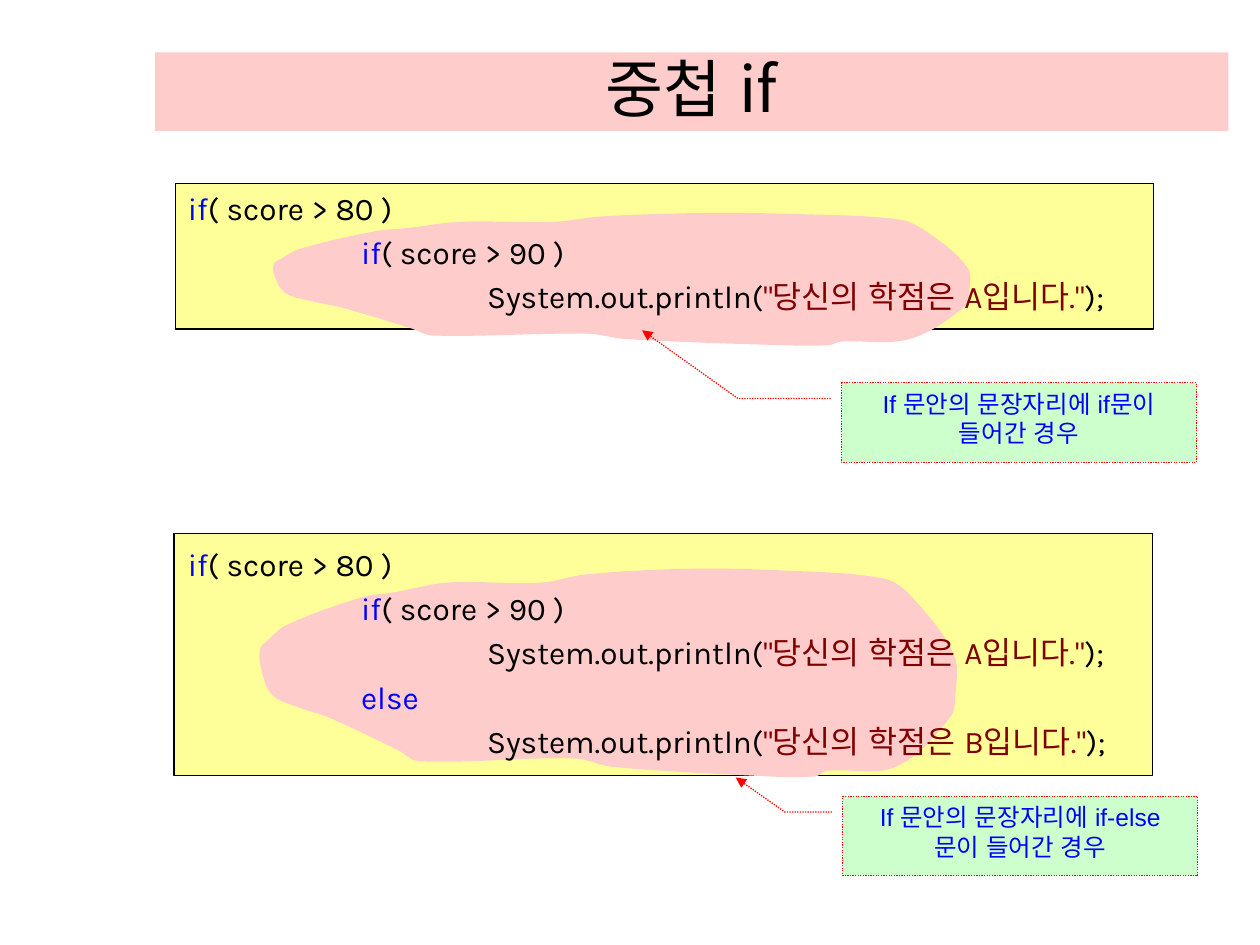
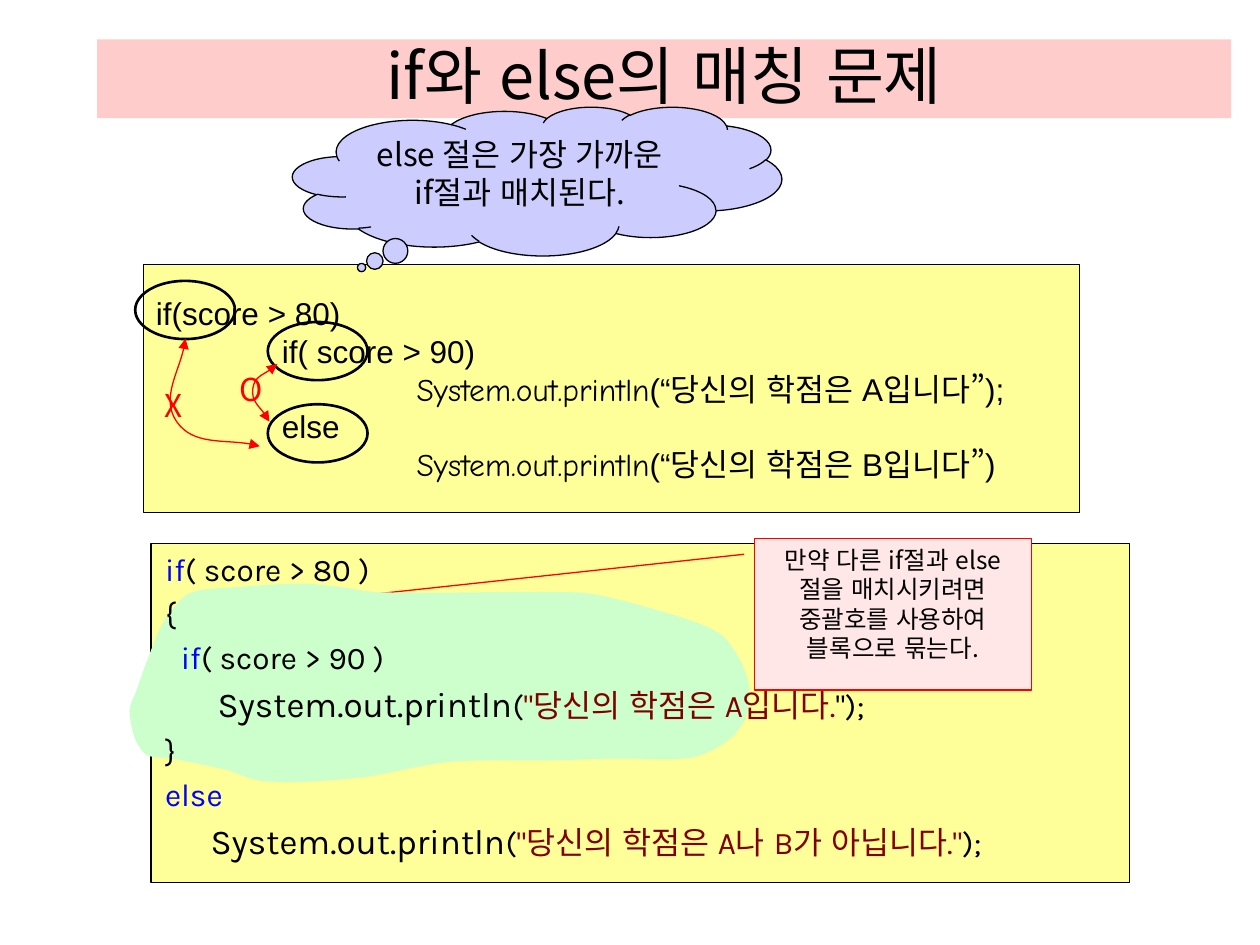
from dataclasses import dataclass
from math import hypot
from typing import Any, NamedTuple

from lxml.etree import SubElement
from pptx import Presentation
from pptx.dml.color import RGBColor
from pptx.enum.dml import MSO_LINE
from pptx.enum.lang import MSO_LANGUAGE_ID
from pptx.enum.shapes import MSO_SHAPE
from pptx.enum.text import MSO_ANCHOR, MSO_AUTO_SIZE, PP_ALIGN
from pptx.oxml.ns import qn
from pptx.util import Pt

BLACK = RGBColor(0x00, 0x00, 0x00)
BLUE = RGBColor(0x00, 0x00, 0xFF)
MAROON = RGBColor(0x80, 0x00, 0x00)
RED = RGBColor(0xFF, 0x00, 0x00)
PINK = RGBColor(0xFF, 0xCC, 0xCC)
ROSE = RGBColor(0xFF, 0xE7, 0xE7)
YELLOW = RGBColor(0xFF, 0xFF, 0x99)
GREEN = RGBColor(0xCC, 0xFF, 0xCC)
LILAC = RGBColor(0xCC, 0xCC, 0xFF)

ARIAL, COMIC, KARLA, NOTO = "Arial", "Comic Neue", "Karla", "Noto Sans CJK KR"
Point = tuple[float, float]


class Box(NamedTuple):
    x: float
    y: float
    w: float
    h: float


class Run(NamedTuple):
    text: str
    color: RGBColor = BLACK
    font: str = KARLA
    size: float = 18


class Line(NamedTuple):
    left: float
    runs: tuple[Run, ...]


@dataclass
class Panel:
    """A filled or outlined shape, with optional text and adjustments."""
    box: Box
    kind: MSO_SHAPE = MSO_SHAPE.RECTANGLE
    fill: RGBColor | None = YELLOW
    edge: RGBColor = BLACK
    width: float = 0.75
    dash: MSO_LINE | None = None
    adjust: tuple[float, ...] = ()
    tail: bool = False
    text: Run | None = None


# Outlines in points, from the top left corner of each blob
NEST = [
    (3.6, 28), (15, 22), (57.5, 12), (77, 10), (107, 6.5), (160.5, 6.5),
    (186.5, 3.5), (243, 1.5), (296, 2), (356.5, 5), (371.5, 11),
    (396.5, 32.5), (397.5, 47), (394.5, 55.5), (363.5, 73.5), (324, 75),
    (317.5, 77), (289.5, 77), (201, 73.5), (180, 70.5), (90.5, 71.5),
    (79, 67.5), (39, 55.5), (22.5, 52), (6.5, 47), (0, 35.5), (0.5, 30),
]
BLOCK = [
    (62, 2), (36, 5), (26.5, 13), (18.5, 24.5), (11, 43), (4.5, 61),
    (0.5, 74), (8.5, 96.5), (25, 100), (54, 106), (78, 113), (131, 111),
    (183, 102), (244, 101), (278, 100), (317.5, 100), (330.5, 96.5),
    (345.5, 87), (353.5, 73.5), (353.5, 54), (342, 32.5), (330, 24.5),
    (308, 17), (275, 8), (255, 5), (144, 5), (121, 2), (99.5, 0),
]
ARCS = [
    [(158.5, 208), (144.5, 222), (154, 241)],
    [(106, 193.5), (101, 241), (148.5, 255)],
]


def assign(target: Any, values: dict[str, Any]) -> None:
    for name, value in values.items():
        setattr(target, name, value)


def place(shape: Any, box: Box) -> None:
    names = ("left", "top", "width", "height")
    assign(shape, dict(zip(names, map(Pt, box))))


def write(para: Any, run: Run) -> None:
    part = para.add_run()
    part.text = run.text
    assign(part.font, {"name": run.font, "size": Pt(run.size),
                       "language_id": MSO_LANGUAGE_ID.KOREAN})
    part.font.color.rgb = run.color
    part.font._element.set("kern", "0")
    SubElement(part.font._element, qn("a:ea"), typeface=NOTO)


def paint(shape: Any, fill: RGBColor | None, edge: RGBColor | None,
          width: float = 0.75) -> None:
    shape.shadow.inherit = False
    for style, color in ((shape.fill, fill), (shape.line.fill, edge)):
        if color is None:
            style.background()
        else:
            style.solid()
            style.fore_color.rgb = color
    if edge is not None:
        shape.line.width = Pt(width)


def arrow(shape: Any, *ends: str) -> None:
    for end in ends:
        SubElement(shape.line._get_or_add_ln(), qn(f"a:{end}"), type="triangle")


def title(slide: Any, text: str, box: Box) -> None:
    shape = slide.shapes.title
    place(shape, box)
    shape.fill.solid()
    shape.fill.fore_color.rgb = PINK
    frame = shape.text_frame
    assign(frame, {"auto_size": MSO_AUTO_SIZE.NONE, "word_wrap": True,
                   "vertical_anchor": MSO_ANCHOR.BOTTOM})
    frame.paragraphs[0].alignment = PP_ALIGN.CENTER
    write(frame.paragraphs[0], Run(text, font=NOTO, size=36))


def panel(slide: Any, item: Panel) -> Any:
    shape = slide.shapes.add_shape(item.kind, *map(Pt, item.box))
    paint(shape, item.fill, item.edge, item.width)
    for i, value in enumerate(item.adjust):
        shape.adjustments[i] = value
    if item.dash:
        shape.line.dash_style = item.dash
    if item.tail:
        arrow(shape, "tailEnd")
    if item.text:
        assign(shape.text_frame, {"word_wrap": True,
                                  "vertical_anchor": MSO_ANCHOR.TOP})
        para = shape.text_frame.paragraphs[0]
        para.alignment = PP_ALIGN.CENTER
        write(para, item.text)
    return shape


def code(frame: Any, lines: list[Line], gap: float = 3.7) -> None:
    frame.word_wrap = True
    for i, line in enumerate(lines):
        para = frame.add_paragraph() if i else frame.paragraphs[0]
        assign(para, {"alignment": PP_ALIGN.LEFT, "space_before": Pt(gap)})
        props = para._p.get_or_add_pPr()
        props.set("marL", str(Pt(line.left)))
        props.set("indent", "0")
        for run in line.runs:
            write(para, run)


def listing(slide: Any, box: Box, lines: list[Line]) -> None:
    code(slide.shapes.add_textbox(*map(Pt, box)).text_frame, lines)


def curve(slide: Any, knots: list[Point], closed: bool) -> Any:
    """Join the knots by Bezier spans, with handles a third of each span."""
    count = len(knots)
    left, top = (min(axis) for axis in zip(*knots))

    def knot(i: int) -> Point:
        return knots[i % count if closed else min(max(i, 0), count - 1)]

    def handle(i: int, reach: float) -> Point:
        (ax, ay), (x, y), (bx, by) = knot(i - 1), knot(i), knot(i + 1)
        part = reach / hypot(bx - ax, by - ay)
        return x + (bx - ax) * part, y + (by - ay) * part

    dots = [(Pt(x), Pt(y)) for x, y in knots]
    maker = slide.shapes.build_freeform(*dots[0], scale=1.0)
    maker.add_line_segments(dots[1:] + dots[:closed], close=closed)
    shape = maker.convert_to_shape()
    for i, span in enumerate(list(shape._element.iter(qn("a:lnTo")))):
        (ax, ay), (bx, by) = knot(i), knot(i + 1)
        reach = hypot(bx - ax, by - ay) / 3
        span.tag = qn("a:cubicBezTo")
        end = span[0]
        for x, y in (handle(i, reach), handle(i + 1, -reach)):
            SubElement(span, qn("a:pt"), x=str(Pt(x - left)), y=str(Pt(y - top)))
        span.append(end)
    return shape


def blob(slide: Any, knots: list[Point], x: float, y: float,
         fill: RGBColor, stretch: float = 1) -> None:
    moved = [(x + dx, y + dy * stretch) for dx, dy in knots]
    paint(curve(slide, moved, True), fill, None)


def test(left: float, score: int) -> Line:
    return Line(left, (Run("if", BLUE), Run(f"( score > {score} )")))


def show(left: float, grade: str) -> Line:
    return Line(left, (Run("System.out.println("),
                       Run(f'"당신의 학점은 {grade}입니다."', MAROON), Run(");")))


def nested(slide: Any) -> None:
    title(slide, "중첩 if", Box(88.5, 30, 613.5, 45))
    head = [test(0, 80), test(99, 90), show(171, "A")]
    other = [Line(99, (Run("else", BLUE),)), show(171, "B")]
    for box in (Box(100.25, 105, 558.75, 83), Box(99.5, 304.75, 559, 138.25)):
        panel(slide, Panel(box))
    blob(slide, NEST, 156.25, 120.25, PINK)
    listing(slide, Box(100.25, 104.25, 562, 83), head)
    blob(slide, NEST, 148.5, 322.75, PINK, 1.57)
    listing(slide, Box(100.25, 307.75, 562, 138), head + other)

    notes = [
        (480.75, 218.75, "If 문안의 문장자리에 if문이 들어간 경우",
         (-0.291, -0.66, -0.561)),
        (481.5, 455, "If 문안의 문장자리에 if-else 문이 들어간 경우",
         (-0.163, -0.236, -0.301)),
    ]
    for x, y, text, bend in notes:
        panel(slide, Panel(
            Box(x, y, 203, 45.5), MSO_SHAPE.LINE_CALLOUT_2, GREEN, RED,
            dash=MSO_LINE.ROUND_DOT, adjust=(0.197, -0.03, 0.197, *bend),
            tail=True, text=Run(text, BLUE, ARIAL, 14)))


def matching(slide: Any) -> None:
    title(slide, "if와 else의 매칭 문제", Box(55.5, 22.5, 648, 45))
    panel(slide, Panel(Box(86.25, 310.75, 559.25, 193.5)))

    def plain(left: float, text: str) -> Line:
        return Line(left, (Run(text, font=ARIAL),))

    def output(text: str) -> Line:
        return Line(149, (Run("System.out.println", font=COMIC),
                          Run(text, font=ARIAL)))

    sample = panel(slide, Panel(Box(82, 151, 535, 142)))
    sample.text_frame.vertical_anchor = MSO_ANCHOR.MIDDLE
    code(sample.text_frame, [
        plain(0, "if(score > 80)"), plain(72, "if( score > 90)"),
        output("(“당신의 학점은 A입니다”);"), plain(72, "else"),
        output("(“당신의 학점은 B입니다”)")], gap=0)

    for x, y in ((153, 231), (153, 184), (77.25, 160.5)):
        panel(slide, Panel(Box(x, y, 57, 33.25), MSO_SHAPE.OVAL, None,
                           width=1.5))
    for knots in ARCS:
        arc = curve(slide, knots, False)
        paint(arc, None, RED)
        arrow(arc, "headEnd", "tailEnd")
    for mark, x, y in (("X", 87, 217.25), ("O", 129.5, 208)):
        frame = slide.shapes.add_textbox(Pt(x), Pt(y), Pt(27), Pt(29)).text_frame
        frame.word_wrap = False
        write(frame.paragraphs[0], Run(mark, RED, NOTO))

    panel(slide, Panel(
        Box(167.25, 61, 279.5, 85), MSO_SHAPE.CLOUD_CALLOUT, LILAC,
        adjust=(-0.359, 0.581),
        text=Run("else 절은 가장 가까운 if절과 매치된다.", font=NOTO)))
    panel(slide, Panel(
        Box(431.25, 307.75, 158, 86.5), MSO_SHAPE.LINE_CALLOUT_1, ROSE, RED,
        adjust=(0.104, -0.038, 0.493, -2.013), tail=True,
        text=Run("만약 다른 if절과 else 절을 매치시키려면 중괄호를 사용하여 "
                 "블록으로 묶는다.", font=NOTO, size=14)))
    blob(slide, BLOCK, 73.5, 333.5, GREEN)

    call = (Run("System.out.println", size=20), Run("("))
    listing(slide, Box(87.25, 310.5, 559.5, 193.5), [
        test(0, 80),
        Line(0, (Run("{"),)),
        test(9, 90),
        Line(30, (*call, Run('"당신의 학점은 A입니다.', MAROON), Run('");'))),
        Line(0, (Run("}"),)),
        Line(0, (Run("else", BLUE),)),
        Line(26, (*call, Run('"당신의 학점은 A나 B가 아닙니다."', MAROON),
                  Run(");"))),
    ])


def main() -> None:
    deck = Presentation()
    assign(deck, {"slide_width": Pt(720), "slide_height": Pt(540)})
    for draw in (nested, matching):
        draw(deck.slides.add_slide(deck.slide_layouts[5]))
    deck.save("out.pptx")


if __name__ == "__main__":
    main()
